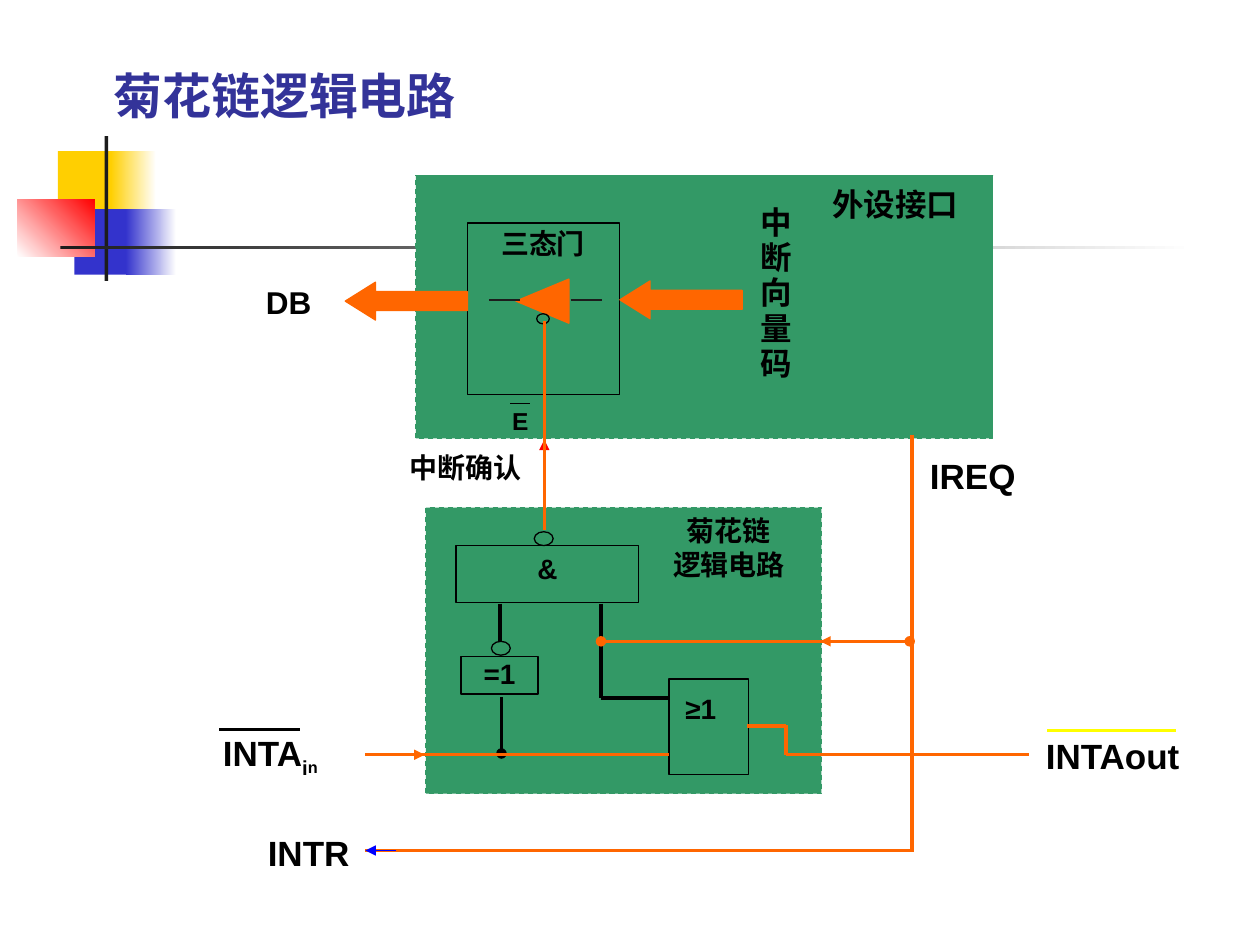
import pptx
import pptx.dml.color
import pptx.enum.dml
import pptx.enum.shapes
import pptx.enum.text
import pptx.oxml.ns
import pptx.util
from lxml import etree
from pptx.util import Inches

SHAPES = pptx.enum.shapes.MSO_SHAPE
ALIGN = pptx.enum.text.PP_ALIGN
BLACK, ORANGE, GREEN, WHITE = "000000", "FF6600", "339966", "FFFFFF"
DARK, YELLOW, BLUE = "1C1C1C", "FFCF01", "3333CC"


def color(hex_string):
    return pptx.dml.color.RGBColor.from_string(hex_string)


def add_shape(slide, kind, box, fill=None, line=None, dashed=False, rotation=0):
    shape = slide.shapes.add_shape(kind, *map(Inches, box))
    shape.shadow.inherit = False
    shape.rotation = rotation
    if fill:
        shape.fill.solid()
        shape.fill.fore_color.rgb = color(fill)
    else:
        shape.fill.background()
    if line:
        shape.line.color.rgb = color(line)
        shape.line.width = pptx.util.Pt(0.75)
        if dashed:
            shape.line.dash_style = pptx.enum.dml.MSO_LINE.DASH
    else:
        shape.line.fill.background()
    return shape


def add_gradient(slide, box, start, end, angle=0):
    shape = add_shape(slide, SHAPES.RECTANGLE, box)
    shape.fill.gradient()
    shape.fill.gradient_angle = angle
    for stop, hex_string in zip(shape.fill.gradient_stops, (start, end)):
        stop.color.rgb = color(hex_string)


def add_line(slide, start, end, hex_string=ORANGE, width=2, head=None, tail=None):
    connector = slide.shapes.add_connector(
        pptx.enum.shapes.MSO_CONNECTOR.STRAIGHT, *map(Inches, start + end))
    connector.line.color.rgb = color(hex_string)
    connector.line.width = pptx.util.Pt(width)
    for tag, kind in (("a:headEnd", head), ("a:tailEnd", tail)):
        if kind:
            line_element = connector.line._get_or_add_ln()
            etree.SubElement(line_element, pptx.oxml.ns.qn(tag), type=kind)
    etree.SubElement(connector._element.spPr, pptx.oxml.ns.qn("a:effectLst"))


def write(shape, text, size, align=ALIGN.CENTER, font="Arial", hex_string=BLACK,
          insets=(0, 0, 0, 0), bold=True, spacing=None, space=0):
    frame = shape.text_frame
    frame.word_wrap = True
    frame.vertical_anchor = pptx.enum.text.MSO_ANCHOR.TOP
    (frame.margin_left, frame.margin_top,
     frame.margin_right, frame.margin_bottom) = map(Inches, insets)
    frame.text = text
    for index, paragraph in enumerate(frame.paragraphs):
        paragraph.alignment = align
        if spacing:
            paragraph.line_spacing = spacing
        if index:
            paragraph.space_before = pptx.util.Pt(space)
        paragraph.font.name = font
        paragraph.font.size = pptx.util.Pt(size)
        paragraph.font.bold = bold
        paragraph.font.color.rgb = color(hex_string)
    return frame.paragraphs[0]


def add_text(slide, box, text, size, **style):
    return write(slide.shapes.add_textbox(*map(Inches, box)), text, size, **style)


def add_subscript(paragraph, text, size):
    run = paragraph.add_run()
    run.text = text
    run.font.size = pptx.util.Pt(size)
    run.font._element.set("baseline", "-25000")


def draw_decoration(slide):
    add_shape(slide, SHAPES.RECTANGLE, (0.46, 1.2, 0.48, 0.52), YELLOW)
    add_gradient(slide, (0.88, 1.2, 0.36, 0.52), YELLOW, WHITE)
    add_shape(slide, SHAPES.RECTANGLE, (0.59, 1.66, 0.46, 0.52), BLUE)
    add_gradient(slide, (1, 1.66, 0.4, 0.52), BLUE, WHITE)
    add_gradient(slide, (0.14, 1.58, 0.61, 0.46), WHITE, "FF0000", 45)
    add_shape(slide, SHAPES.RECTANGLE, (0.83, 1.08, 0.03, 1.15), DARK)
    add_gradient(slide, (0.48, 1.95, 9, 0.03), DARK, WHITE)


def draw_gates(slide):
    and_gate = add_shape(slide, SHAPES.RECTANGLE, (3.62, 4.33, 1.45, 0.45), line=BLACK)
    write(and_gate, "&", 16, insets=(0.1, 0.05, 0.1, 0.05))
    inverter = add_shape(slide, SHAPES.RECTANGLE, (3.66, 5.21, 0.61, 0.3), line=BLACK)
    write(inverter, "=1", 16)
    or_gate = add_shape(slide, SHAPES.RECTANGLE, (5.31, 5.39, 0.63, 0.76), line=BLACK)
    write(or_gate, "≥1", 16, align=ALIGN.LEFT, insets=(0.13, 0.1, 0, 0))
    for left, top in ((4.24, 4.22), (3.9, 5.09)):
        add_shape(slide, SHAPES.FLOWCHART_CONNECTOR, (left, top, 0.15, 0.11), line=BLACK)


def draw_wires(slide):
    for start, end in (((3.97, 4.79), (3.97, 5.09)), ((4.77, 4.79), (4.77, 5.54)),
                       ((4.77, 5.54), (5.31, 5.54))):
        add_line(slide, start, end, BLACK)
    add_line(slide, (3.98, 5.53), (3.98, 5.98), BLACK, tail="oval")
    for start, end in (((7.24, 3.45), (7.24, 6.76)), ((7.24, 6.75), (2.9, 6.75)),
                       ((2.9, 5.99), (5.31, 5.99)), ((5.93, 5.76), (6.24, 5.76)),
                       ((6.24, 5.75), (6.24, 5.99)), ((6.24, 5.99), (8.17, 5.99))):
        add_line(slide, start, end)
    add_line(slide, (4.77, 5.09), (7.22, 5.09), head="oval", tail="oval")
    for start, end, hex_string in (((3.13, 5.99), (3.37, 5.99), ORANGE),
                                   ((6.75, 5.09), (6.51, 5.09), ORANGE),
                                   ((3.14, 6.75), (2.9, 6.75), "0000FF"),
                                   ((4.32, 3.64), (4.32, 3.49), "FF0000")):
        add_line(slide, start, end, hex_string, 0.75, tail="triangle")


def draw_buffer(slide):
    add_shape(slide, SHAPES.RECTANGLE, (3.71, 1.77, 1.21, 1.36), line=BLACK)
    add_shape(slide, SHAPES.FLOWCHART_MERGE, (4.13, 2.18, 0.35, 0.42),
              ORANGE, ORANGE, rotation=90)
    add_shape(slide, SHAPES.FLOWCHART_CONNECTOR, (4.26, 2.49, 0.1, 0.08), line=BLACK)
    for left, top in ((2.74, 2.24), (4.92, 2.23)):
        arrow = add_shape(slide, SHAPES.LEFT_ARROW, (left, top, 0.97, 0.3), ORANGE, ORANGE)
        arrow.adjustments[1] = 0.8
    add_line(slide, (4.32, 2.55), (4.32, 4.21))
    for left in (3.88, 4.53):
        add_line(slide, (left, 2.38), (left + 0.25, 2.38), DARK, 1.5)


def draw_labels(slide):
    chinese = "Times New Roman"
    signal = {"align": ALIGN.LEFT, "insets": (0, 0.05, 0, 0.05)}
    add_text(slide, (0.9, 0.52, 3.07, 0.47), "菊花链逻辑电路", 28,
             align=ALIGN.LEFT, hex_string="333399")
    acknowledge_in = add_text(slide, (1.77, 5.76, 0.97, 0.45), "INTA", 20, **signal)
    add_subscript(acknowledge_in, "i", 20)
    add_subscript(acknowledge_in, "n", 16)
    add_text(slide, (7.38, 3.56, 0.72, 0.3), "IREQ", 20, **signal)
    add_text(slide, (8.3, 5.78, 1.19, 0.45), "INTAout", 20, **signal)
    add_text(slide, (2.11, 6.6, 0.68, 0.22), "INTR", 20)
    add_text(slide, (1.93, 2.25, 0.72, 0.3), "DB", 18)
    add_text(slide, (4.01, 3.22, 0.24, 0.22), "E", 14)
    add_text(slide, (3.95, 1.8, 0.72, 0.31), "三态门", 16, font=chinese)
    add_text(slide, (5.92, 1.69, 0.48, 1.07), "中\n断\n向\n量\n码", 18,
             font=chinese, spacing=0.72, space=4.5)
    add_text(slide, (6.38, 1.47, 1.45, 0.3), "外设接口", 18, font=chinese)
    add_text(slide, (3.11, 3.58, 1.03, 0.33), "中断确认", 16,
             align=ALIGN.RIGHT, font=chinese)
    add_text(slide, (5.23, 4.13, 1.11, 0.41), "菊花链\n逻辑电路", 16,
             font=chinese, spacing=0.8, space=4)
    for left, right, top, hex_string, width in ((1.74, 2.38, 5.79, BLACK, 1.5),
                                                (8.31, 9.33, 5.8, "FFFF00", 1.5),
                                                (4.05, 4.21, 3.2, BLACK, 0.75)):
        add_line(slide, (left, top), (right, top), hex_string, width)


def main():
    presentation = pptx.Presentation()
    presentation.slide_width = Inches(10)
    presentation.slide_height = Inches(7.5)
    slide = presentation.slides.add_slide(presentation.slide_layouts[6])
    draw_decoration(slide)
    for box in ((3.3, 1.39, 4.58, 2.09), (3.38, 4.03, 3.14, 2.27)):
        add_shape(slide, SHAPES.RECTANGLE, box, GREEN, GREEN, dashed=True)
    draw_gates(slide)
    draw_wires(slide)
    draw_buffer(slide)
    draw_labels(slide)
    presentation.save("out.pptx")


if __name__ == "__main__":
    main()
